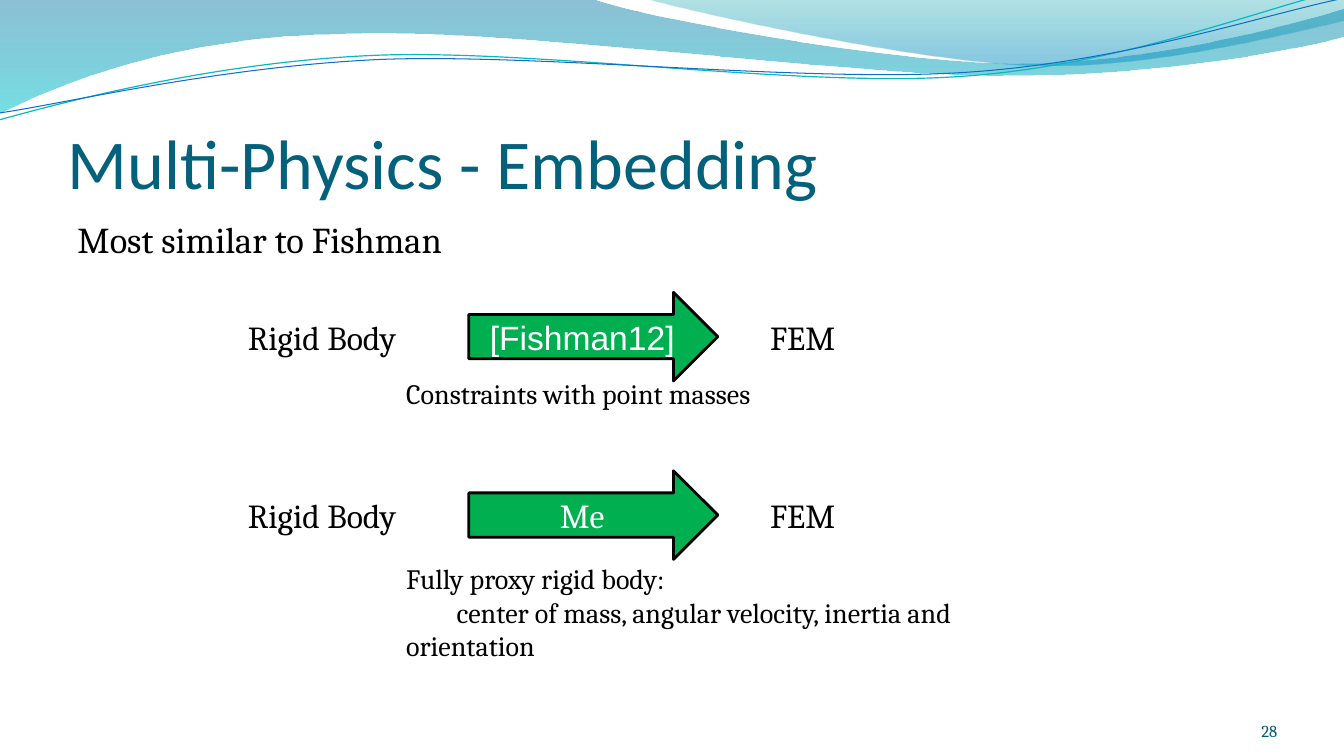
from dataclasses import dataclass
from typing import Optional

from pptx import Presentation
from pptx.dml.color import RGBColor
from pptx.enum.shapes import MSO_SHAPE as Preset
from pptx.enum.text import MSO_ANCHOR as Anchor, MSO_AUTO_SIZE as AutoSize, PP_ALIGN as Align
from pptx.oxml.ns import qn
from pptx.oxml.xmlchemy import OxmlElement
from pptx.util import Pt

PX = 9144
TITLE_ONLY = 5
ROW_STEP = 177
SERIF = "Cambria"
COLORS = {
    "title": "04617B", "number": "045D75", "ink": "000000", "white": "FFFFFF",
    "arrow": "00B050", "deep": "0074A1", "cyan": "00C6CF", "teal": "00A1A9",
    "sky": "008BBF", "teal_line": "0AB8BF", "blue_line": "0F6FC6",
}


@dataclass
class Stop:
    color: str
    opacity: int
    position: float


@dataclass
class Wave:
    start: tuple[int, int]
    segments: list[tuple[int, ...]]
    stops: tuple[Stop, ...] = ()
    line: Optional[str] = None
    weight: float = 0


@dataclass
class Embedding:
    method: str
    font: str
    output_width: int
    caption: list[str]
    caption_top: int
    caption_width: int
    caption_height: int


WAVES = [
    Wave((0, 0), [(587, -1), (634, 17, 885, 63, 1011, 63), (1138, 63, 1278, 26, 1333, 9),
                  (1335, 36), (1311, 44, 1160, 76, 994, 75), (829, 75, 509, 28, 343, 34),
                  (172, 36, 61, 83, -1, 113), (0, 0)],
         stops=(Stop("deep", 45, 0), Stop("cyan", 55, 1))),
    Wave((639, -1), [(679, 11, 909, 62, 1025, 65), (1141, 69, 1282, 32, 1333, 21),
                     (1333, 0), (639, -1)],
         stops=(Stop("teal", 30, 0), Stop("sky", 45, 0.8))),
    Wave((-1, 119), [(64, 101, 211, 62, 369, 55), (527, 48, 790, 87, 950, 76),
                     (1110, 66, 1252, 8, 1331, -10)], line="teal_line", weight=0.85),
    Wave((0, 112), [(63, 103, 218, 66, 378, 59), (537, 53, 796, 82, 955, 72),
                    (1115, 62, 1255, 14, 1334, -2)], line="blue_line", weight=0.75),
]
EMBEDDINGS = [
    Embedding("[Fishman12]", "Arial", 92, ["Constraints with point masses"], 79, 499, 44),
    Embedding("Me", SERIF, 95, ["Fully proxy rigid body:",
                                "\tcenter of mass, angular velocity, inertia and orientation"],
              85, 562, 111),
]


def rgb(name: str) -> RGBColor:
    return RGBColor.from_string(COLORS[name])


def bend(shape, segments: list[tuple[int, ...]]) -> None:
    sides = iter(list(shape.element.spPr.iter(qn("a:lnTo"))))
    for segment in segments:
        first = next(sides)
        if len(segment) == 2:
            continue
        curve = OxmlElement("a:cubicBezTo")
        first.addprevious(curve)
        for side in (first, next(sides), next(sides)):
            curve.append(side[0])
            side.getparent().remove(side)


def add_wave(page, wave: Wave) -> None:
    builder = page.shapes.build_freeform(*wave.start, scale=PX)
    corners = [pair for segment in wave.segments for pair in zip(segment[::2], segment[1::2])]
    builder.add_line_segments(corners, close=bool(wave.stops))
    shape = builder.convert_to_shape()
    bend(shape, wave.segments)
    shape.shadow.inherit = False
    if wave.line:
        shape.fill.background()
        shape.line.color.rgb = rgb(wave.line)
        shape.line.width = Pt(wave.weight)
        return
    shape.line.fill.background()
    shape.fill.gradient()
    shape.fill.gradient_angle = 270
    for target, stop in zip(shape.fill.gradient_stops, wave.stops):
        target.color.rgb = rgb(stop.color)
        target.position = stop.position
    for color, stop in zip(shape.element.spPr.iter(qn("a:srgbClr")), wave.stops):
        alpha = OxmlElement("a:alpha")
        alpha.set("val", str(stop.opacity * 1000))
        color.append(alpha)


def write(shape, lines: list[str], size: int, color: str = "ink", font: str = SERIF,
          align: Align = Align.LEFT, anchor: Anchor = Anchor.TOP) -> None:
    frame = shape.text_frame
    frame.word_wrap = True
    frame.auto_size = AutoSize.NONE
    frame.vertical_anchor = anchor
    frame.text = "\n".join(lines)
    for para in frame.paragraphs:
        para.alignment = align
        para.font.size = Pt(size)
        para.font.name = font
        para.font.color.rgb = rgb(color)


def place(shape, left: int, top: int, width: int, height: int) -> None:
    shape.left, shape.top, shape.width, shape.height = (
        value * PX for value in (left, top, width, height))


def add_text(page, left: int, top: int, width: int, height: int, lines: list[str], size: int,
             color: str = "ink", align: Align = Align.LEFT, anchor: Anchor = Anchor.TOP):
    box = page.shapes.add_textbox(left * PX, top * PX, width * PX, height * PX)
    write(box, lines, size, color, align=align, anchor=anchor)
    return box


def add_embedding(page, top: int, item: Embedding) -> None:
    add_text(page, 236, top + 19, 188, 50, ["Rigid Body"], 24)
    add_text(page, 754, top + 19, item.output_width, 50, ["FEM"], 24)
    arrow = page.shapes.add_shape(Preset.RIGHT_ARROW, 465 * PX, top * PX, 247 * PX, 88 * PX)
    arrow.shadow.inherit = False
    arrow.fill.solid()
    arrow.fill.fore_color.rgb = rgb("arrow")
    arrow.line.color.rgb = rgb("ink")
    arrow.line.width = Pt(2)
    write(arrow, [item.method], 24, "white", item.font, Align.CENTER, Anchor.MIDDLE)
    add_text(page, 393, top + item.caption_top, item.caption_width, item.caption_height,
             item.caption, 20)


def set_margins(shape, top: int = 0) -> None:
    frame = shape.text_frame
    frame.margin_left = frame.margin_right = frame.margin_bottom = 0
    frame.margin_top = top * PX


def main() -> None:
    deck = Presentation()
    deck.slide_width, deck.slide_height = 1333 * PX, 750 * PX
    page = deck.slides.add_slide(deck.slide_layouts[TITLE_ONLY])
    for wave in WAVES:
        add_wave(page, wave)
    title = page.shapes.title
    place(title, 67, 77, 1200, 125)
    write(title, ["Multi-Physics - Embedding"], 50, "title", "Calibri", anchor=Anchor.BOTTOM)
    set_margins(title, top=5)
    add_text(page, 67, 211, 1200, 480, ["Most similar to Fishman"], 26)
    number = add_text(page, 1156, 695, 111, 40, ["28"], 12, "number", Align.RIGHT, Anchor.BOTTOM)
    set_margins(number)
    for index, item in enumerate(EMBEDDINGS):
        add_embedding(page, 290 + index * ROW_STEP, item)
    deck.save("out.pptx")


if __name__ == "__main__":
    main()
